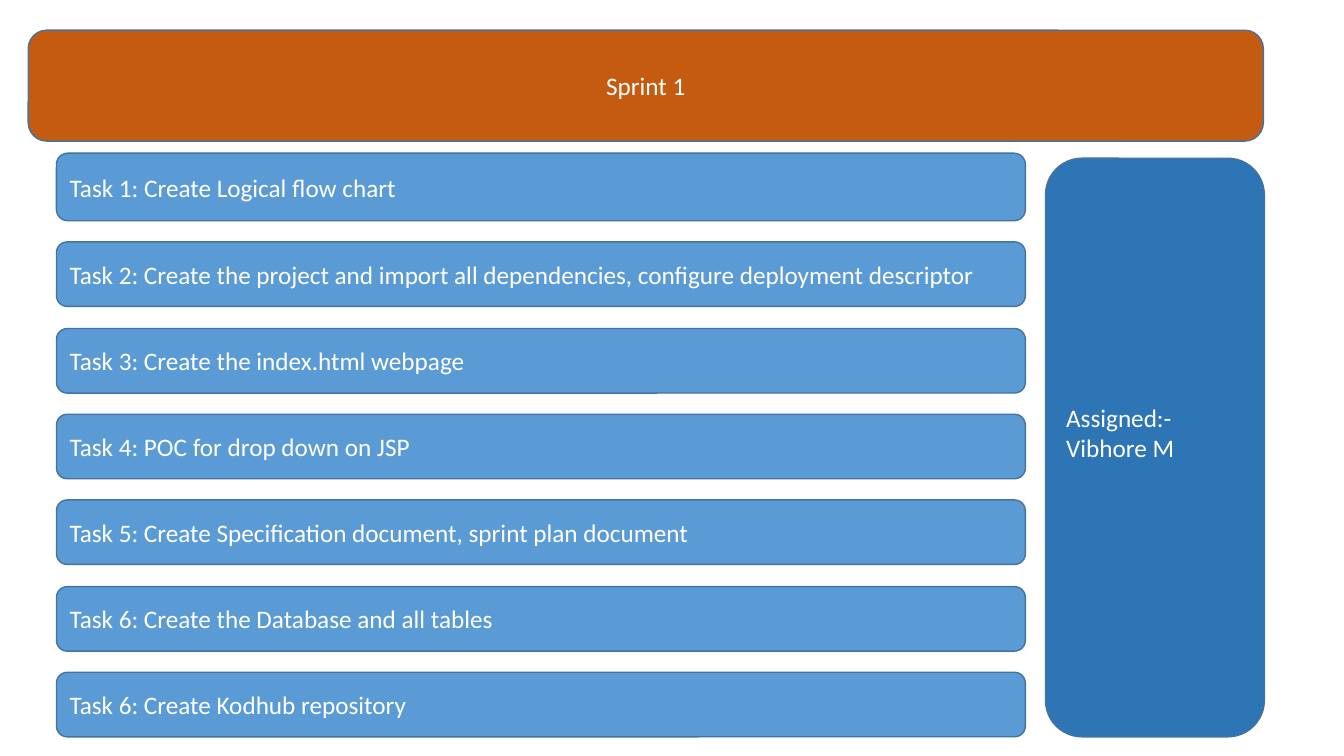
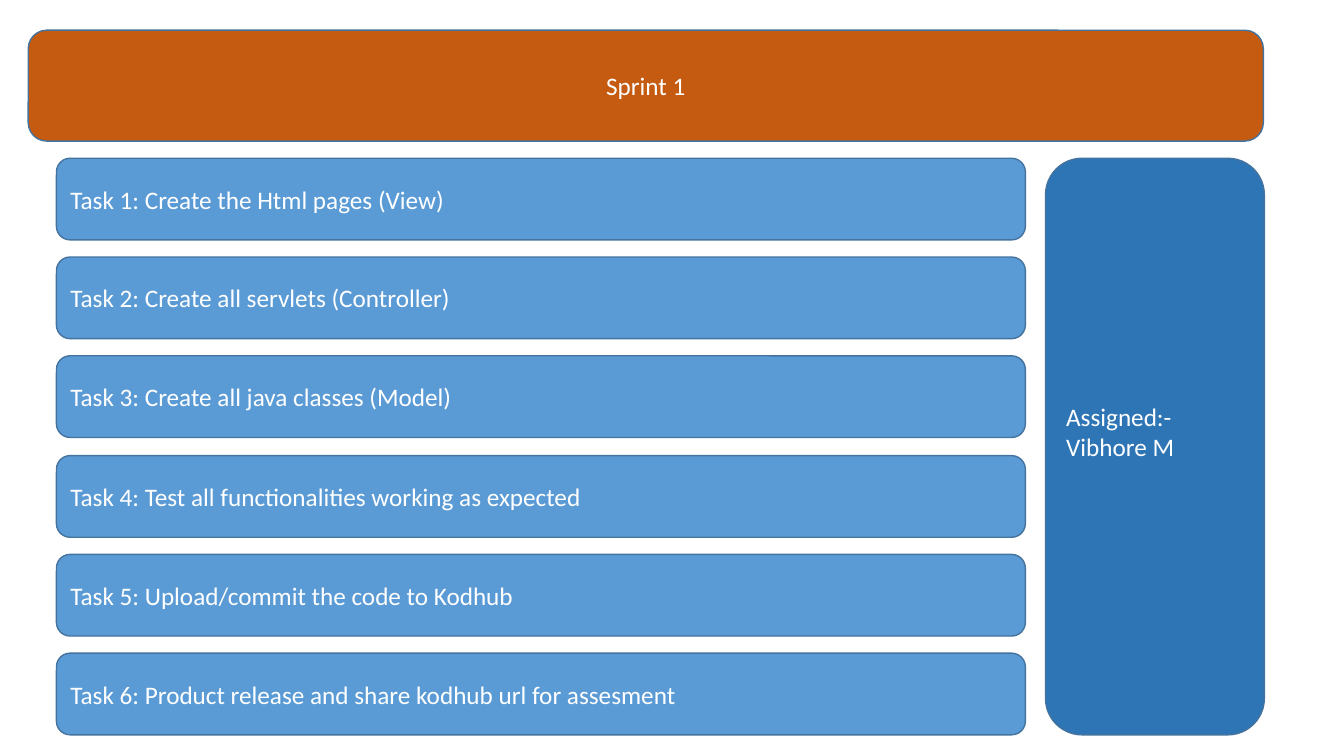
from dataclasses import dataclass

import pptx
import pptx.dml.color
import pptx.enum.shapes
import pptx.enum.text
import pptx.util

# Shared look: lengths are px, 100 to the inch
EMU_PER_PX = 9144
FONT = "Calibri"
COLOURS = {
    "banner": "C55A11",
    "task": "5B9BD5",
    "owner": "2E75B6",
    "outline": "43739E",
    "text": "FFFFFF",
}
ALIGN = pptx.enum.text.PP_ALIGN
TITLE_ONLY = 5


@dataclass(frozen=True)
class Area:
    left: int
    top: int
    width: int
    height: int


@dataclass(frozen=True)
class Sprint:
    title: str
    top: int
    bottom: int
    heights: tuple[int, ...]
    tasks: tuple[str, ...]
    owner: tuple[str, ...] = ("Assigned:-", "Vibhore M")


BANNER = Area(28, 30, 1225, 110)
TASK_LEFT, TASK_WIDTH = 56, 961
OWNER_LEFT, OWNER_TOP, OWNER_WIDTH = 1037, 157, 217
OWNER_BOTTOM_INSET = 35

SPRINTS = (
    Sprint("Sprint 1", 152, 731, (67,) + (64,) * 6, (
        "Task 1: Create Logical flow chart",
        "Task 2: Create the project and import all dependencies, "
        "configure deployment descriptor",
        "Task 3: Create the index.html webpage",
        "Task 4: POC for drop down on JSP",
        "Task 5: Create Specification document, sprint plan document",
        "Task 6: Create the Database and all tables",
        "Task 6: Create Kodhub repository",
    )),
    Sprint("Sprint 1", 157, 729, (81,) * 6, (
        "Task 1: Create the Html pages (View)",
        "Task 2: Create all servlets (Controller)",
        "Task 3: Create all java classes (Model)",
        "Task 4: Test all functionalities working as expected",
        "Task 5: Upload/commit the code to Kodhub",
        "Task 6: Product release and share kodhub url for assesment",
    )),
)


def px(length: int) -> pptx.util.Emu:
    return pptx.util.Emu(length * EMU_PER_PX)


def colour(name: str) -> pptx.dml.color.RGBColor:
    return pptx.dml.color.RGBColor.from_string(COLOURS[name])


def write_text(shape, *lines: str, align=ALIGN.LEFT, size: int = 18,
               bottom_inset: int = 5) -> None:
    """Put one paragraph per line in a shape, centred vertically."""
    frame = shape.text_frame
    frame.word_wrap = True
    frame.auto_size = pptx.enum.text.MSO_AUTO_SIZE.NONE
    frame.vertical_anchor = pptx.enum.text.MSO_ANCHOR.MIDDLE
    frame.margin_bottom = px(bottom_inset)
    for index, line in enumerate(lines):
        para = frame.add_paragraph() if index else frame.paragraphs[0]
        para.alignment = align
        span = para.add_run()
        span.text = line
        span.font.name = FONT
        span.font.size = pptx.util.Pt(size)
        span.font.color.rgb = colour("text")


def add_box(page, area: Area, fill: str):
    """Draw an outlined rounded box."""
    box = page.shapes.add_shape(
        pptx.enum.shapes.MSO_SHAPE.ROUNDED_RECTANGLE,
        px(area.left), px(area.top), px(area.width), px(area.height))
    box.shadow.inherit = False
    box.fill.solid()
    box.fill.fore_color.rgb = colour(fill)
    box.line.color.rgb = colour("outline")
    box.line.width = pptx.util.Pt(1)
    return box


def add_banner(page, text: str) -> None:
    """Draw the banner and lay the slide title over it."""
    banner = add_box(page, BANNER, "banner")
    title = page.shapes.title
    title.left, title.top = banner.left, banner.top
    title.width, title.height = banner.width, banner.height
    write_text(title, text, align=ALIGN.CENTER)
    banner._element.addnext(title._element)


def add_tasks(page, sprint: Sprint) -> None:
    """Stack the tasks with equal gaps from top to bottom."""
    free = sprint.bottom - sprint.top - sum(sprint.heights)
    gap = free / (len(sprint.tasks) - 1)
    top = sprint.top
    for task, height in zip(sprint.tasks, sprint.heights):
        area = Area(TASK_LEFT, round(top), TASK_WIDTH, height)
        write_text(add_box(page, area, "task"), task)
        top += height + gap


def add_owner(page, sprint: Sprint) -> None:
    area = Area(OWNER_LEFT, OWNER_TOP, OWNER_WIDTH, sprint.bottom - OWNER_TOP)
    write_text(add_box(page, area, "owner"), *sprint.owner,
               bottom_inset=OWNER_BOTTOM_INSET)


def main() -> None:
    deck = pptx.Presentation()
    deck.slide_width, deck.slide_height = px(1333), px(750)
    for sprint in SPRINTS:
        page = deck.slides.add_slide(deck.slide_layouts[TITLE_ONLY])
        add_banner(page, sprint.title)
        add_tasks(page, sprint)
        add_owner(page, sprint)
    deck.save("out.pptx")


if __name__ == "__main__":
    main()
